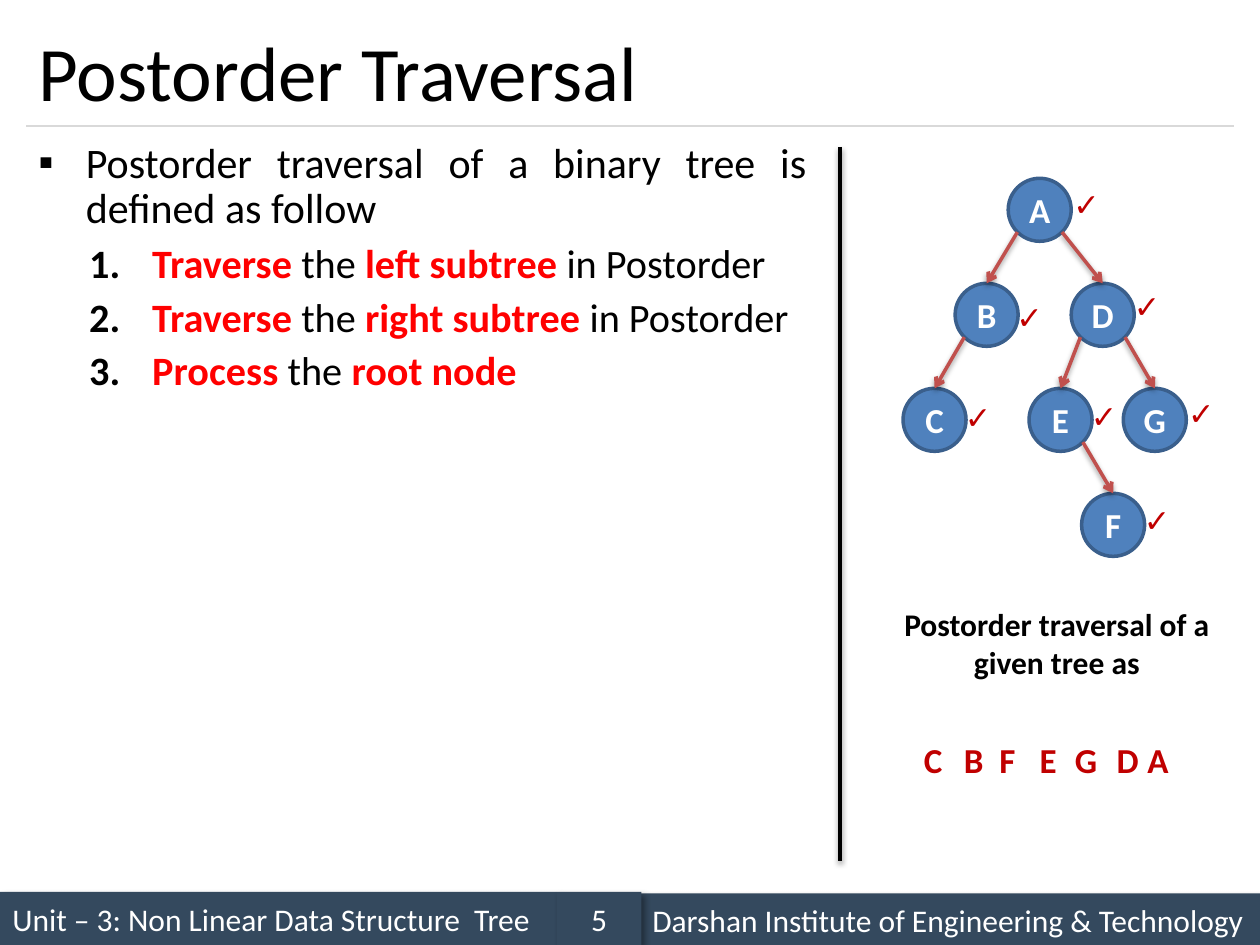
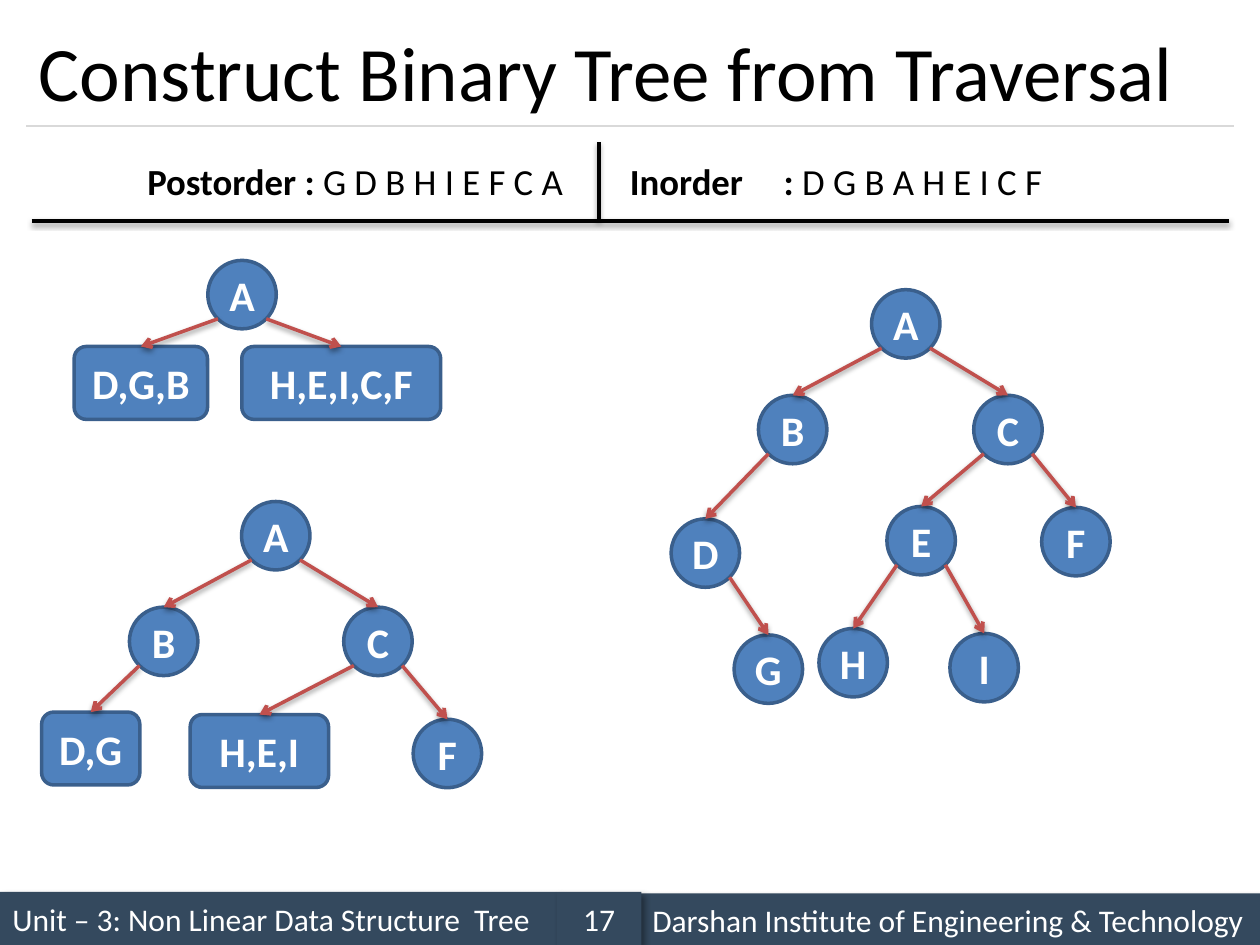
from dataclasses import dataclass
from math import sqrt

from lxml import etree
from pptx import Presentation
from pptx.dml.color import RGBColor
from pptx.enum.shapes import MSO_CONNECTOR, MSO_SHAPE
from pptx.enum.text import MSO_ANCHOR, PP_ALIGN
from pptx.oxml.ns import qn
from pptx.util import Cm, Pt

RECT, ROUND, OVAL = MSO_SHAPE.RECTANGLE, MSO_SHAPE.ROUNDED_RECTANGLE, MSO_SHAPE.OVAL
LINE = MSO_CONNECTOR.STRAIGHT
MID, TOP = MSO_ANCHOR.MIDDLE, MSO_ANCHOR.TOP
LEFT, CENTER, FULL = PP_ALIGN.LEFT, PP_ALIGN.CENTER, PP_ALIGN.JUSTIFY


@dataclass(frozen=True)
class Theme:
    font: str = "Calibri"
    ink: str = "000000"
    white: str = "FFFFFF"
    bar: str = "34495E"
    rule: str = "D9D9D9"
    node: str = "4F81BD"
    edge: str = "3A5F8C"
    arrow: str = "C0504D"
    hot: str = "FF0000"
    mark: str = "C00000"
    title: int = 44
    body: int = 24
    step: int = 23
    order: int = 21
    label: int = 20
    small: int = 18


T = Theme()
# Shadow: opacity, blur and distance in points, angle in degrees
BAR_SHADE = (40, 4, 3, 45)
LINE_SHADE = (38, 3.1, 1.6, 90)


# Formatting helpers
def put(obj, **vals):
    for key, val in vals.items():
        setattr(obj, key, val)


def child(base, tag, **vals):
    node = etree.SubElement(base, qn(tag))
    for key, val in vals.items():
        node.set(key, str(val))
    return node


def shade(shape, look):
    props = shape.element.spPr
    effects = props.find(qn("a:effectLst"))
    if effects is None:
        effects = child(props, "a:effectLst")
    if look:
        alpha, blur, dist, angle = look
        outer = child(effects, "a:outerShdw", blurRad=Pt(blur), dist=Pt(dist),
                      dir=angle * 60000, algn="ctr", rotWithShape=0)
        tint = child(outer, "a:srgbClr", val=T.ink)
        child(tint, "a:alpha", val=alpha * 1000)


def say(par, text, size, color=T.ink, bold=False):
    run = par.add_run()
    run.text = text
    put(run.font, name=T.font, size=Pt(size), bold=bold)
    run.font.color.rgb = RGBColor.from_string(color)


# Elements
def note(slide, x, y, w, h, anchor=TOP, wrap=False):
    frame = slide.shapes.add_textbox(Cm(x), Cm(y), Cm(w), Cm(h)).text_frame
    put(frame, word_wrap=wrap, vertical_anchor=anchor)
    return frame


def block(slide, kind, x, y, w, h, fill, line=None, look=None):
    shape = slide.shapes.add_shape(kind, Cm(x), Cm(y), Cm(w), Cm(h))
    shape.fill.solid()
    shape.fill.fore_color.rgb = RGBColor.from_string(fill)
    if line:
        shape.line.color.rgb = RGBColor.from_string(line)
        shape.line.width = Pt(2)
    else:
        shape.line.fill.background()
    shape.shadow.inherit = False
    shade(shape, look)
    shape.text_frame.vertical_anchor = MID
    return shape.text_frame


def stroke(slide, x1, y1, x2, y2, color=T.ink, width=2, look=LINE_SHADE, tip=False):
    line = slide.shapes.add_connector(LINE, Cm(x1), Cm(y1), Cm(x2), Cm(y2))
    line.line.color.rgb = RGBColor.from_string(color)
    line.line.width = Pt(width)
    if tip:
        child(line.element.spPr.find(qn("a:ln")), "a:tailEnd", type="arrow")
    shade(line, look)


def tree(slide, nodes, links, size, text):
    """Nodes map a label to its centre, plus a width if it is a box."""
    box = 1.47
    for label, (x, y, *wide) in nodes.items():
        w, h = (wide[0], box) if wide else (size, size)
        frame = block(slide, ROUND if wide else OVAL, x - w / 2, y - h / 2, w, h,
                      T.node, T.edge)
        put(frame, margin_left=0, margin_right=0, word_wrap=False)
        par = frame.paragraphs[0]
        par.alignment = CENTER
        say(par, label, text, T.white, True)
    # Each arrow leaves the parent's lower flank and meets the child's top
    reach = size / 2 / sqrt(2)
    for up, down in links:
        (x1, y1), (x2, y2, *wide) = nodes[up], nodes[down]
        side = -reach if x2 < x1 else reach
        stroke(slide, x1 + side, y1 + reach, x2, y2 - (box if wide else size) / 2,
               T.arrow, tip=True)


def page(deck, title, number):
    slide = deck.slides.add_slide(deck.slide_layouts[6])
    # Footer bars and title rule
    bars = [(0, 17.98, 11.23, "Unit – 3: Non Linear Data Structure  Tree", LEFT),
            (12.9, 18.01, 12.5, "Darshan Institute of Engineering & Technology", LEFT),
            (11.23, 17.98, 1.7, str(number), CENTER)]
    for x, y, w, text, align in bars:
        par = block(slide, RECT, x, y, w, 1.07, T.bar, look=BAR_SHADE).paragraphs[0]
        par.alignment = align
        say(par, text, T.small, T.white)
    stroke(slide, 0.53, 2.54, 24.87, 2.54, T.rule, 0.75, None)
    frame = note(slide, 0.53, 0.3, 24.33, 2.24, MID, True)
    say(frame.paragraphs[0], title, T.title)
    return slide


def item(frame, parts, size, left, hang, mark, first=False):
    """Write a list paragraph; every second part, from the first, is hot."""
    par = frame.paragraphs[0] if first else frame.add_paragraph()
    put(par, alignment=FULL, line_spacing=0.9, space_before=Pt(0 if first else 6))
    props = par._p.get_or_add_pPr()
    props.set("marL", str(Cm(left)))
    props.set("indent", str(-Cm(hang)))
    tint = child(props, "a:buClr")
    child(tint, "a:srgbClr", val=T.ink)
    child(props, "a:buFont", typeface=T.font)
    if mark:
        child(props, "a:buChar", char=mark)
        say(par, parts[0], size)
        return
    child(props, "a:buAutoNum", type="arabicPeriod")
    for i, part in enumerate(parts):
        hot = i % 2 == 0
        say(par, part, size, T.hot if hot else T.ink, hot)


# Slides
def postorder(deck):
    slide = page(deck, "Postorder Traversal", 5)
    frame = note(slide, 0.53, 2.74, 15.98, 13.54, wrap=True)
    item(frame, ["Postorder traversal of a binary tree is defined as follow"],
         T.body, 0.95, 0.95, "▪", True)
    steps = [("Traverse ", "the ", "left subtree ", "in Postorder"),
             ("Traverse ", "the ", "right subtree ", "in Postorder"),
             ("Process ", "the ", "root node")]
    for step in steps:
        item(frame, step, T.step, 2.29, 1.27, None)

    rows = [4.23 + 2.117 * i for i in range(4)]
    nodes = {"A": (20.96, rows[0]), "B": (19.89, rows[1]), "D": (22.23, rows[1]),
             "C": (18.84, rows[2]), "E": (21.38, rows[2]), "G": (23.28, rows[2]),
             "F": (22.44, rows[3])}
    tree(slide, nodes, ["AB", "BC", "AD", "DE", "DG", "EF"], 1.27, T.label)

    # Result letters in visiting order
    spots = [18.81, 19.63, 20.31, 21.13, 21.87, 22.71, 23.33]
    for letter, x in zip("CBFEGDA", spots):
        par = note(slide, x - 0.45, 14.76, 0.9, 1.12).paragraphs[0]
        par.alignment = CENTER
        say(par, letter, T.label, T.mark, True)
    frame = note(slide, 17.98, 12.07, 6.86, 1.8)
    say(frame.paragraphs[0], "Postorder traversal of a", T.small, bold=True)
    par = frame.add_paragraph()
    par.alignment = CENTER
    say(par, "given tree as", T.small, bold=True)

    # Ticks beside the visited nodes
    ticks = [(21.39, 3.61), (20.24, 5.89), (19.2, 7.9), (22.61, 5.66),
             (21.74, 7.87), (22.81, 9.98), (23.7, 7.82)]
    for x, y in ticks:
        say(note(slide, x, y, 1.14, 1.02).paragraphs[0], "✓", T.small, T.mark)
    stroke(slide, 16.93, 2.96, 16.93, 17.35)


def construct(deck):
    slide = page(deck, "Construct Binary Tree from Traversal", 17)
    # Given orders
    par = note(slide, 2.72, 3.07, 8.99, 1.14).paragraphs[0]
    say(par, "Postorder :", T.order, bold=True)
    say(par, " G D B H I E F C A", T.order)
    par = note(slide, 12.45, 3.07, 9.6, 1.14, wrap=True).paragraphs[0]
    tabs = child(par._p.get_or_add_pPr(), "a:tabLst")
    child(tabs, "a:tab", pos=Cm(3.1), algn="l")
    say(par, "Inorder\t: ", T.order, bold=True)
    say(par, "D G B A H E I C F", T.order)
    stroke(slide, 0.64, 4.45, 24.77, 4.45)
    stroke(slide, 12.07, 2.87, 12.07, 4.45)

    # Three stages of the tree
    first = {"A": (4.88, 5.94), "D,G,B": (2.84, 7.72, 2.69),
             "H,E,I,C,F": (6.88, 7.72, 4.01)}
    second = {"A": (5.56, 10.8), "B": (3.3, 12.93), "C": (7.62, 12.93),
              "D,G": (1.83, 15.09, 1.98), "H,E,I": (5.23, 15.14, 2.79),
              "F": (9.02, 15.19)}
    final = {"A": (18.26, 6.53), "B": (15.98, 8.66), "C": (20.32, 8.66),
             "D": (14.22, 11.15), "E": (18.57, 10.9), "F": (21.69, 10.92),
             "G": (15.49, 13.49), "H": (17.2, 13.36), "I": (19.84, 13.46)}
    stages = [(first, [("A", "D,G,B"), ("A", "H,E,I,C,F")]),
              (second, ["AB", "AC", ("B", "D,G"), ("C", "H,E,I"), "CF"]),
              (final, ["AB", "AC", "BD", "CE", "CF", "DG", "EH", "EI"])]
    for nodes, links in stages:
        tree(slide, nodes, links, 1.38, T.body)


def main():
    deck = Presentation()
    put(deck, slide_width=Cm(25.4), slide_height=Cm(19.05))
    postorder(deck)
    construct(deck)
    deck.save("out.pptx")


if __name__ == "__main__":
    main()
